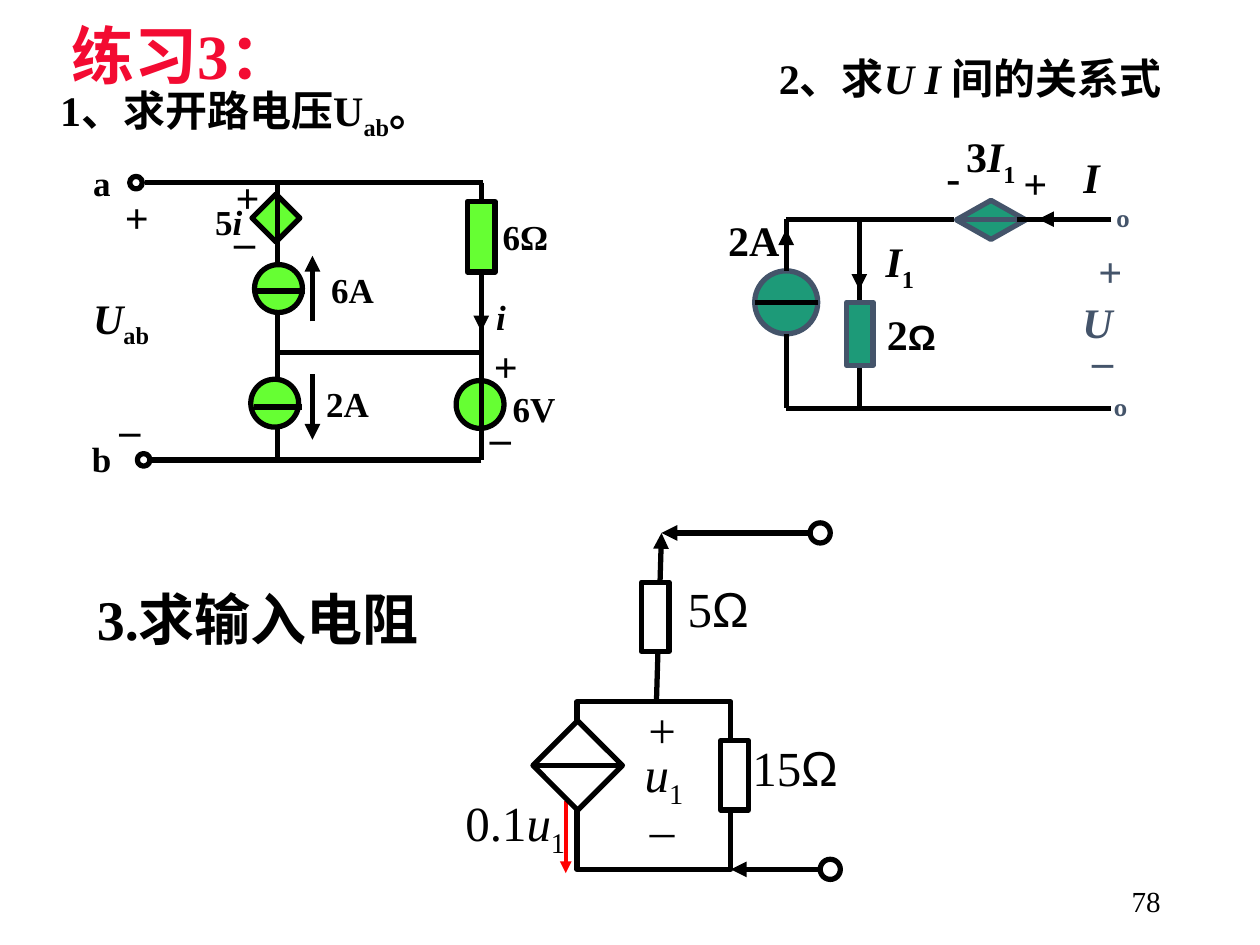
from lxml import etree
from pptx import Presentation
from pptx import util as u
from pptx.dml.color import RGBColor
from pptx.enum import shapes, text
from pptx.oxml.ns import qn

HUES = {"ink": "000000", "red": "F30B32", "arrow": "FF0000", "lime": "66FF33",
        "teal": "1D9A78", "slate": "44546A", "white": "FFFFFF"}
FACE = "Times New Roman"
KIND = shapes.MSO_SHAPE
DOT, BOX, GEM, SORT = KIND.OVAL, KIND.RECTANGLE, KIND.DIAMOND, KIND.FLOWCHART_SORT
LEFT, MID, RIGHT = text.PP_ALIGN.LEFT, text.PP_ALIGN.CENTER, text.PP_ALIGN.RIGHT
TOP, HALF = text.MSO_ANCHOR.TOP, text.MSO_ANCHOR.MIDDLE

deck = Presentation()
deck.slide_width, deck.slide_height = u.Inches(10), u.Inches(7.5)
slide = deck.slides.add_slide(deck.slide_layouts[5])
CELL = deck.slide_width / 100  # grid of 100 columns and 75 rows


def span(*cells):
    return [round(n * CELL) for n in cells]


def write(frame, runs, size, hue, bold, align, anchor):
    """Fill a text frame; run marks: i italic, s subscript, a Arial, m 20 pt."""
    frame.word_wrap = True
    frame.auto_size = text.MSO_AUTO_SIZE.NONE
    frame.vertical_anchor = anchor
    para = frame.paragraphs[0]
    para.alignment = align
    for words, marks in runs:
        run = para.add_run()
        run.text = words
        font = run.font
        font.name = "Arial" if "a" in marks else FACE
        font.size = u.Pt(20 if "m" in marks else size)
        font.bold, font.italic = bold, "i" in marks
        font.color.rgb = RGBColor.from_string(HUES[hue])
        if "s" in marks:
            font._element.set("baseline", "-25000")


title = slide.shapes.title
title.left, title.top, title.width, title.height = span(4.7, 0.8, 80.7, 7.9)
write(title.text_frame, [("练习3：", "")], 36, "red", True, LEFT, TOP)

# Symbols: kind, left, top, width, height, fill, line
# Wires: "wire", from x, from y, to x, to y, arrowhead, line
parts = [
    # open-circuit voltage
    (GEM, 20, 15.4, 3.8, 3.8, "lime", "ink"),
    (DOT, 36.2, 30.2, 3.8, 3.8, "lime", "ink"),
    ("wire", 22, 36.4, 22, 14.3, "", "ink"),
    ("wire", 38.3, 14.5, 11.5, 14.5, "", "ink"),
    ("wire", 38.2, 36.5, 12, 36.5, "", "ink"),
    (DOT, 10.9, 36, 1, 1, "", "ink"),
    (DOT, 10.3, 14, 1, 1, "", "ink"),
    ("wire", 38.2, 14.5, 38.2, 36.5, "", "ink"),
    (BOX, 37.1, 16, 2.2, 5.6, "lime", "ink"),
    (DOT, 19.9, 30.1, 3.8, 3.8, "lime", "ink"),
    ("wire", 20.2, 32.3, 24, 32.3, "", "ink"),
    (DOT, 20.2, 21, 3.8, 3.8, "lime", "ink"),
    ("wire", 20.4, 23.1, 24.2, 23.1, "", "ink"),
    ("wire", 22.1, 28, 38.2, 28, "", "ink"),
    ("wire", 24.8, 29.7, 24.8, 34.9, "tailEnd", "ink"),
    ("wire", 24.8, 25.5, 24.8, 20.3, "tailEnd", "ink"),
    ("wire", 38.2, 23.2, 38.2, 26.3, "tailEnd", "ink"),
    # relation of U and I
    ("wire", 62.4, 17.4, 75.7, 17.4, "", "ink"),
    ("wire", 62.4, 32.4, 88.2, 32.4, "", "ink"),
    ("wire", 88.2, 17.4, 82.4, 17.4, "tailEnd", "ink"),
    (SORT, 75.9, 15.9, 5.5, 3.1, "teal", "slate"),
    ("wire", 68.2, 17.4, 68.2, 32.4, "", "ink"),
    (BOX, 67.2, 24, 2.1, 5, "teal", "slate"),
    (DOT, 59.9, 21.5, 5, 5, "teal", "slate"),
    ("wire", 59.9, 24, 64.9, 24, "", "ink"),
    ("wire", 62.4, 26.5, 62.4, 32.4, "", "ink"),
    ("wire", 68.2, 18.2, 68.2, 23, "tailEnd", "ink"),
    ("wire", 80.7, 17.4, 86.8, 17.4, "", "ink"),
    ("wire", 62.4, 21.5, 62.4, 18.2, "tailEnd", "ink"),
    ("wire", 62.4, 17.4, 62.4, 21.5, "", "ink"),
    # input resistance
    (BOX, 45.8, 55.7, 12.2, 13.3, "", "ink"),
    ("wire", 58, 69, 65.1, 69, "headEnd", "ink"),
    ("wire", 52.5, 42.3, 52.1, 55.7, "headEnd", "ink"),
    ("wire", 52.5, 42.3, 64.3, 42.3, "headEnd", "ink"),
    ("wire", 44.9, 63.6, 44.9, 69.3, "tailEnd", "arrow"),
    (DOT, 65.1, 68.2, 1.6, 1.6, "", "ink"),
    (DOT, 64.3, 41.5, 1.6, 1.6, "", "ink"),
    (BOX, 50.9, 46.2, 2.2, 5.5, "white", "ink"),
    (BOX, 57.2, 58.8, 2.2, 5.5, "white", "ink"),
    (SORT, 42.3, 57.2, 7.1, 7.1, "white", "ink"),
]
for kind, x, y, a, b, look, hue in parts:
    if kind == "wire":
        part = slide.shapes.add_connector(
            shapes.MSO_CONNECTOR.STRAIGHT, *span(x, y, a, b))
    else:
        part = slide.shapes.add_shape(kind, *span(x, y, a, b))
        part.shadow.inherit = False
        if look:
            part.fill.solid()
            part.fill.fore_color.rgb = RGBColor.from_string(HUES[look])
        else:
            part.fill.background()
    part.line.color.rgb = RGBColor.from_string(HUES[hue])
    part.line.width = u.Pt(2.25 if hue == "arrow" else 3)
    if kind == "wire":
        props = part._element.spPr
        if look:
            etree.SubElement(props.find(qn("a:ln")), qn("a:" + look), type="triangle")
        etree.SubElement(props, qn("a:effectLst"))

# Each style: size, colour, bold, alignment, anchor, then its labels
# Each label: left, top, width, height, turn, runs
groups = [
    (16.6, "ink", False, RIGHT, HALF, [(70.6, 69.5, 22.5, 4, 0, [("78", "")])]),
    (32, "ink", True, LEFT, TOP, [(6.7, 45.9, 30.6, 6.4, 0, [("3.求输入电阻", "")])]),
    (20, "ink", True, LEFT, TOP, [
        (25.3, 20.8, 7.3, 4.4, 0, [("6A", "")]),
        (38.9, 16.6, 7.3, 4.4, 0, [("6Ω", "")]),
        (39.7, 30.3, 7.3, 4.4, 0, [("6V", "")]),
        (16.1, 15.4, 7.3, 4.4, 0, [("5", ""), ("i", "i")]),
        (24.9, 29.9, 7.3, 4.4, 0, [("2A", "")]),
        (38.4, 23, 7.3, 4.4, 0, [("i", "i")]),
        (6.4, 12.3, 5.9, 4.4, 0, [("a", "")]),
        (6.3, 34.2, 3.5, 4.4, 0, [("b", "")])]),
    (24, "ink", True, LEFT, TOP, [
        (3.8, 6.2, 35.4, 5.6, 0, [("1、求开路电压U", ""), ("ab", "s"), ("。", "")]),
        (6.4, 22.7, 7.1, 5.6, 0, [("U", "i"), ("ab", "s")]),
        (56.8, 16.5, 8.1, 5, 0, [("2A", "")]),
        (69.4, 24, 8, 5, 0, [("2", ""), ("Ω", "am")]),
        (79.7, 12.4, 4.4, 5, 180, [("+", "")]),
        (75.2, 12.6, 2, 5, 180, [("-", "")]),
        (69.3, 18.2, 5.9, 5.6, 0, [("I", "i"), ("1", "s")]),
        (75.7, 9.9, 8.3, 5.6, 0, [("3", ""), ("I", "i"), ("1", "s")]),
        (85, 11.5, 5.9, 5, 0, [("I", "i")])]),
    (24, "ink", True, MID, HALF, [
        (58.7, 3.7, 36.6, 5, 0, [("2、求", ""), ("U I ", "i"), ("间的关系式", "")]),
        (8.9, 14.7, 3.9, 5, 0, [("+", "")]),
        (8.5, 31.5, 3.6, 5, 0, [("–", "")]),
        (38.2, 26.5, 3.9, 5, 0, [("+", "")]),
        (37.9, 32.2, 3.6, 5, 0, [("–", "")]),
        (17.7, 13.1, 3.9, 5, 0, [("+", "")]),
        (17.6, 16.6, 3.6, 5, 0, [("–", "")])]),
    (24, "slate", True, MID, HALF, [
        (86.2, 19, 2, 5, 0, [("+", "")]),
        (85.7, 24.9, 2.5, 5, 0, [("_", "")]),
        (84.3, 23, 5.6, 5, 0, [("U", "i")]),
        (87.4, 30.5, 2, 5, 0, [("º", "")]),
        (87.6, 15.5, 2, 5, 0, [("º", "")])]),
    (28, "ink", False, MID, HALF, [
        (49.8, 58.5, 5.8, 6.3, 0, [("u", "i"), ("1", "s")]),
        (49, 55, 7.1, 5.7, 0, [("+", "")]),
        (50.6, 61.6, 3.9, 5.7, 0, [("_", "")]),
        (58, 58, 10.2, 5.7, 0, [("15", ""), ("Ω", "a")]),
        (35.6, 62.4, 10.6, 6.3, 0, [("0.1", ""), ("u", "i"), ("1", "s")]),
        (52.5, 45.4, 9, 5.7, 0, [("5", ""), ("Ω", "a")])]),
]
for *style, labels in groups:
    for x, y, wide, high, turn, runs in labels:
        label = slide.shapes.add_textbox(*span(x, y, wide, high))
        label.rotation = turn
        write(label.text_frame, runs, *style)

deck.save("out.pptx")
